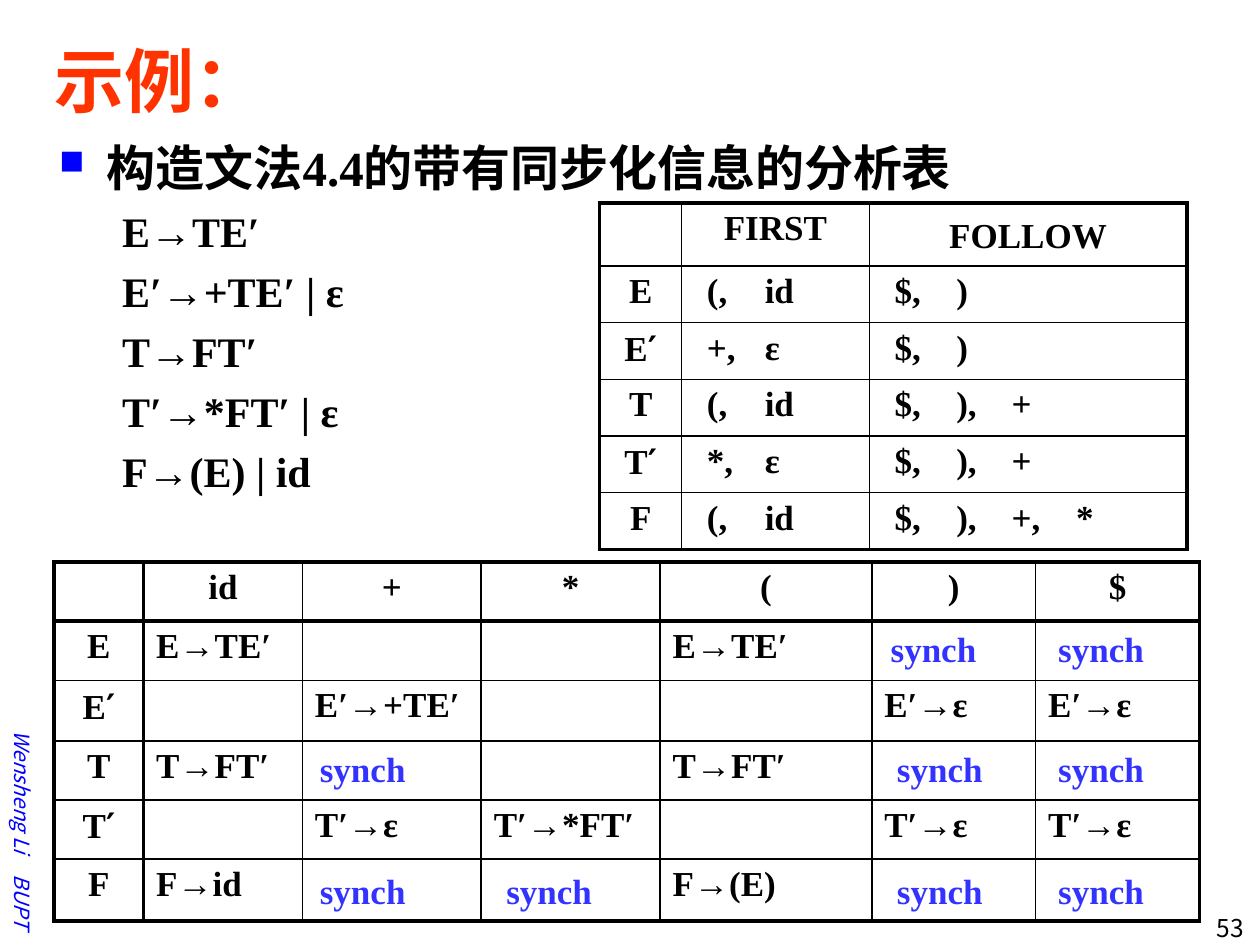
from dataclasses import dataclass
from itertools import accumulate

from lxml import etree
from pptx import Presentation
from pptx.dml.color import RGBColor
from pptx.enum.text import MSO_ANCHOR, PP_ALIGN
from pptx.oxml.ns import qn
from pptx.util import Inches, Pt

LEFT, CENTER, RIGHT = PP_ALIGN.LEFT, PP_ALIGN.CENTER, PP_ALIGN.RIGHT
MIDDLE = MSO_ANCHOR.MIDDLE


@dataclass(frozen=True)
class Theme:
    serif: str = "Times New Roman"
    sans: str = "Noto Sans CJK SC"
    symbol: str = "DejaVu Sans"
    ink: str = "000000"
    title: str = "FF3300"
    accent: str = "0000FF"
    synch: str = "3333FF"
    thin: float = 1
    thick: float = 2.25


THEME = Theme()
STYLES = {
    "title": dict(size=40, name=THEME.sans, color=THEME.title, bold=True),
    "heading": dict(size=28, name=THEME.serif, color=THEME.ink, bold=True),
    "grammar": dict(size=24, name=THEME.serif, color=THEME.ink, bold=True),
    "cell": dict(size=20, name=THEME.serif, color=THEME.ink, bold=True),
    "prime": dict(size=20, name=THEME.symbol, color=THEME.ink, bold=True),
    "synch": dict(size=20, name=THEME.serif, color=THEME.synch, bold=True),
    "author": dict(size=12, name=THEME.sans, color=THEME.accent, italic=True),
    "number": dict(size=14, name=THEME.sans, color=THEME.ink),
}

TITLE = "示例："
HEADING = "构造文法4.4的带有同步化信息的分析表"
GRAMMAR = ["E→TE′", "E′→+TE′ | ε", "T→FT′", "T′→*FT′ | ε", "F→(E) | id"]
SETS = dict(
    origin=(4.76, 1.61),
    columns=[0.65, 1.49, 2.52],
    rows=[0.46] + [0.45] * 5,
    heavy_inside=(),
    margins={1: 0.2, 2: 0.2},
    tabs={1: [0.46], 2: [0.49, 0.93, 1.44]},
    cells=[
        ["", "FIRST", "FOLLOW"],
        ["E", "(,\tid", "$,\t)"],
        ["E′", "+,\tε", "$,\t)"],
        ["T", "(,\tid", "$,\t),\t+"],
        ["T′", "*,\tε", "$,\t),\t+"],
        ["F", "(,\tid", "$,\t),\t+,\t*"],
    ],
)
PARSING = dict(
    origin=(0.43, 4.46),
    columns=[0.71, 1.26, 1.42, 1.42, 1.68, 1.3, 1.3],
    rows=[0.47, 0.47, 0.48, 0.47, 0.47, 0.49],
    heavy_inside=(1,),
    margins={},
    tabs={},
    cells=[
        ["", "id", "+", "*", "(", ")", "$"],
        ["E", "E→TE′", "", "", "E→TE′", "", ""],
        ["E′", "", "E′→+TE′", "", "", "E′→ε", "E′→ε"],
        ["T", "T→FT′", "", "", "T→FT′", "", ""],
        ["T′", "", "T′→ε", "T′→*FT′", "", "T′→ε", "T′→ε"],
        ["F", "F→id", "", "", "F→(E)", "", ""],
    ],
)
SYNCH_ROWS = [
    (1, 0, [(5, 0.05), (6, 0.08)]),
    (3, 0, [(2, 0.04), (5, 0.1), (6, 0.08)]),
    (5, 0.03, [(2, 0.04), (3, 0.1), (5, 0.1), (6, 0.08)]),
]


def add_span(para, text, style):
    span = para.add_run()
    span.text = text
    values = dict(STYLES[style])
    span.font.color.rgb = RGBColor.from_string(values.pop("color"))
    values["size"] = Pt(values["size"])
    for key, value in values.items():
        setattr(span.font, key, value)
    if style in ("title", "heading", "author", "number"):
        east = etree.SubElement(span.font._element, qn("a:ea"))
        east.set("typeface", THEME.sans)


def add_box(page, area, text, style, align=LEFT):
    box = page.shapes.add_textbox(*map(Inches, area))
    box.text_frame.word_wrap = True
    para = box.text_frame.paragraphs[0]
    para.alignment = align
    add_span(para, text, style)
    return box


def add_bullet(para, margin, hanging):
    props = para._p.get_or_add_pPr()
    props.set("marL", str(Inches(margin)))
    props.set("indent", str(-Inches(hanging)))
    color = etree.SubElement(props, qn("a:buClr"))
    etree.SubElement(color, qn("a:srgbClr")).set("val", THEME.accent)
    etree.SubElement(props, qn("a:buSzPct")).set("val", "70000")
    etree.SubElement(props, qn("a:buChar")).set("char", "■")


def add_tabs(para, stops):
    tabs = etree.SubElement(para._p.get_or_add_pPr(), qn("a:tabLst"))
    for stop in stops:
        tab = etree.SubElement(tabs, qn("a:tab"))
        tab.set("pos", str(Inches(stop)))
        tab.set("algn", "l")


def set_borders(cell, sides):
    props = cell._tc.get_or_add_tcPr()
    for side, width in sides.items():
        line = etree.SubElement(props, qn(f"a:ln{side}"))
        line.set("w", str(Pt(width)))
        fill = etree.SubElement(line, qn("a:solidFill"))
        etree.SubElement(fill, qn("a:srgbClr")).set("val", THEME.ink)
    cell.fill.background()


def add_grid(page, data):
    widths, heights = data["columns"], data["rows"]
    area = (*data["origin"], sum(widths), sum(heights))
    table = page.shapes.add_table(len(heights), len(widths), *map(Inches, area)).table
    for column, width in zip(table.columns, widths):
        column.width = Inches(width)
    for row, height in zip(table.rows, heights):
        row.height = Inches(height)

    def weight(edge, last):
        return THEME.thick if edge in (0, last, *data["heavy_inside"]) else THEME.thin

    for r, texts in enumerate(data["cells"]):
        for c, text in enumerate(texts):
            cell = table.cell(r, c)
            set_borders(cell, {
                "L": weight(c, len(widths)), "R": weight(c + 1, len(widths)),
                "T": weight(r, len(heights)), "B": weight(r + 1, len(heights)),
            })
            para = cell.text_frame.paragraphs[0]
            header = r == 0 or c == 0
            para.alignment = CENTER if header else LEFT
            if not header and c in data["margins"]:
                cell.margin_left = Inches(data["margins"][c])
                add_tabs(para, data["tabs"][c])
            if text == "FOLLOW":
                para.line_spacing = 1.2
            if c == 0 and text.endswith("′"):
                add_span(para, text[:-1], "cell")
                add_span(para, "′", "prime")
            elif text:
                add_span(para, text, "cell")


def main():
    deck = Presentation()
    deck.slide_width, deck.slide_height = Inches(10), Inches(7.5)
    page = deck.slides.add_slide(deck.slide_layouts[5])

    title = page.shapes.title
    place = dict(left=0.33, top=0.17, width=9.42, height=0.92)
    for key, value in place.items():
        setattr(title, key, Inches(value))
    title.text_frame.vertical_anchor = MIDDLE
    title.text_frame.paragraphs[0].alignment = LEFT
    add_span(title.text_frame.paragraphs[0], TITLE, "title")

    author = add_box(page, (-1.14, 6, 2.64, 0.3), "Wensheng Li　BUPT", "author", RIGHT)
    author.rotation = 90
    author.text_frame.vertical_anchor = MIDDLE
    add_box(page, (8.99, 7.2, 0.98, 0.3), "53", "number", RIGHT)

    body = add_box(page, (0.37, 1.04, 7.72, 3.15), HEADING, "heading")
    add_bullet(body.text_frame.paragraphs[0], 0.38, 0.38)
    for rule in GRAMMAR:
        para = body.text_frame.add_paragraph()
        para._p.get_or_add_pPr().set("marL", str(Inches(0.5)))
        para.space_before = Pt(5.5)
        add_span(para, rule, "grammar")

    for data in (SETS, PARSING):
        add_grid(page, data)

    left, top = PARSING["origin"]
    column_lefts = list(accumulate(PARSING["columns"], initial=left))
    row_tops = list(accumulate(PARSING["rows"], initial=top))
    for row, drop, marks in SYNCH_ROWS:
        for column, shift in marks:
            area = (column_lefts[column] + shift, row_tops[row] + drop, 0.89, 0.44)
            add_box(page, area, "synch", "synch")

    deck.save("out.pptx")


if __name__ == "__main__":
    main()
